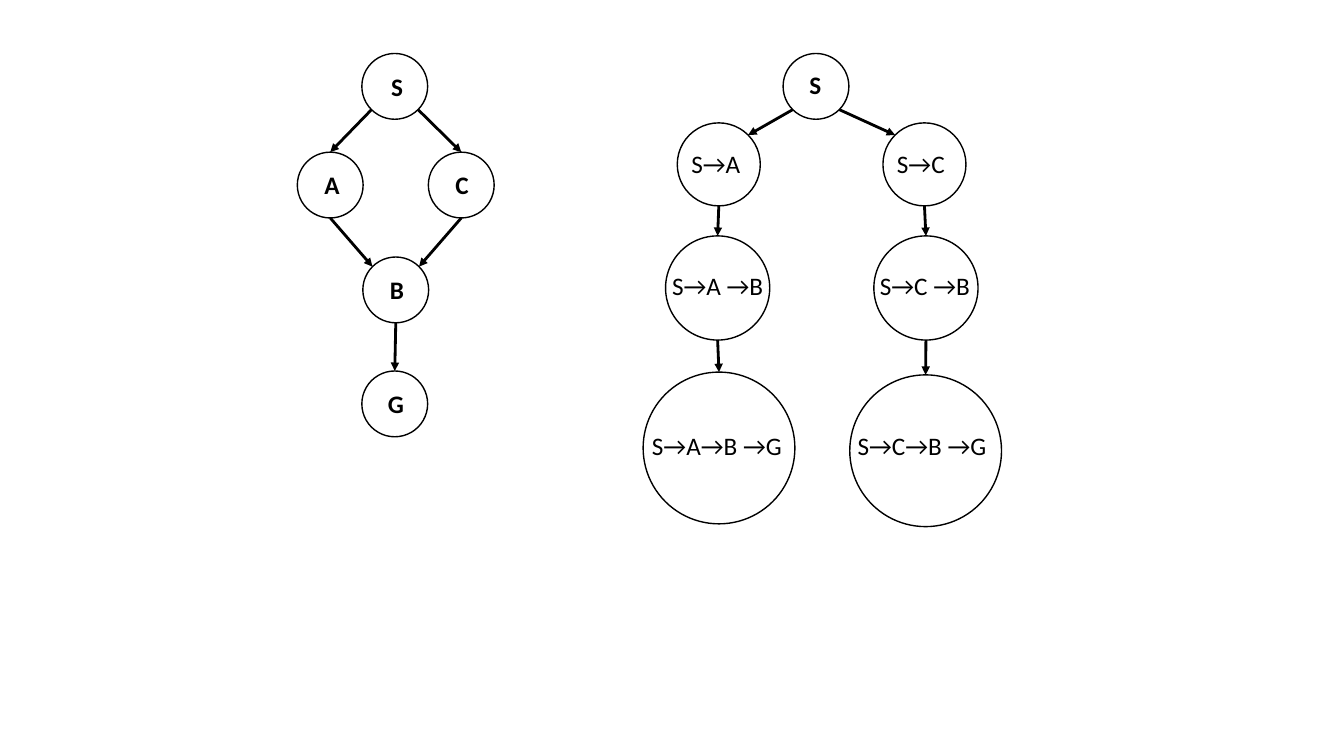
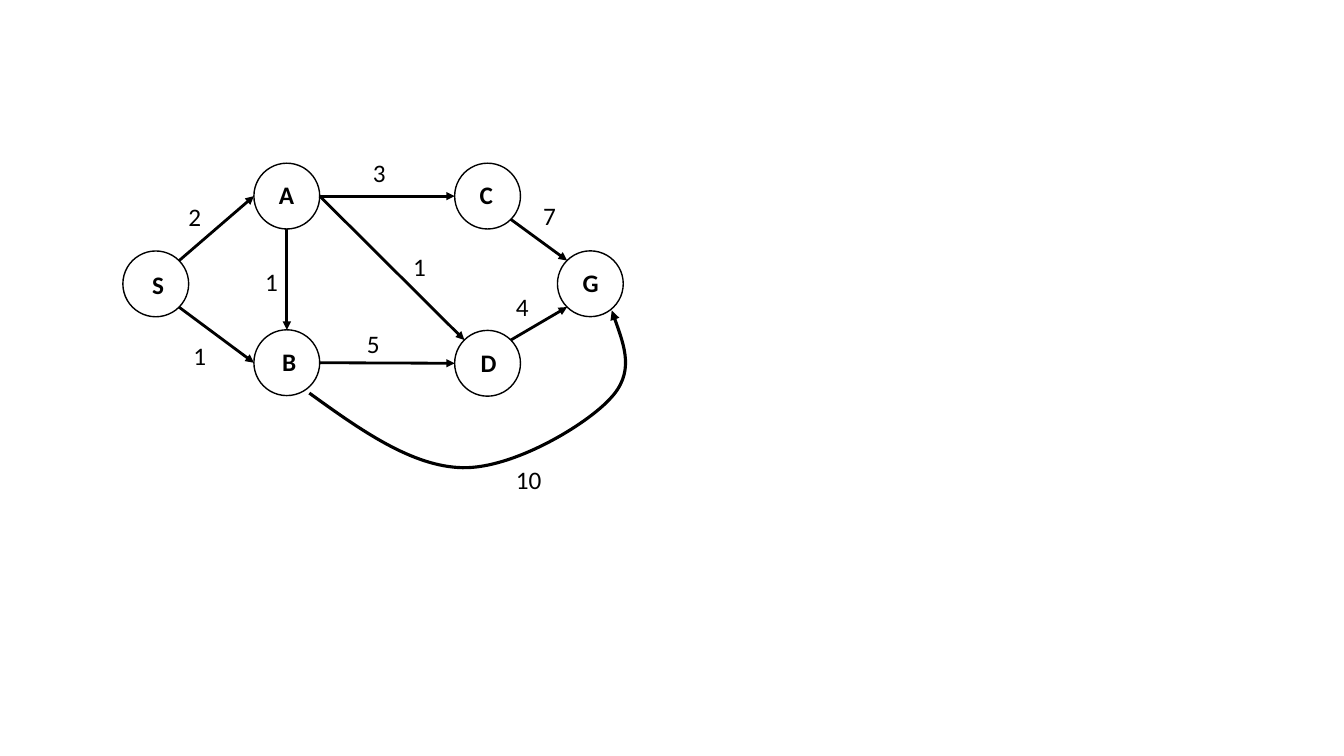
from dataclasses import dataclass
from math import sqrt

from pptx import Presentation
from pptx.dml.color import RGBColor
from pptx.enum.shapes import MSO_CONNECTOR, MSO_SHAPE
from pptx.enum.text import MSO_AUTO_SIZE
from pptx.oxml.ns import qn
from pptx.oxml.xmlchemy import OxmlElement
from pptx.util import Pt

STRAIGHT = MSO_CONNECTOR.STRAIGHT
CIRCLE = MSO_SHAPE.OVAL
GROW = MSO_AUTO_SIZE.SHAPE_TO_FIT_TEXT


@dataclass(frozen=True)
class Theme:
    ink: RGBColor = RGBColor(0, 0, 0)
    font: str = "Calibri"
    text_size: float = 18
    label_height: float = 29
    outline: float = 1
    arrow: float = 2
    curve: float = 2.25


THEME = Theme()
STATE, STEP, PAIR, ROUTE = 47, 59.3, 74.4, 108.4
LABEL_WIDTHS = {"S": 23, "A": 25, "B": 25, "C": 24.5, "D": 26, "G": 26,
                "S→A": 49.7, "S→C": 49, "S→A →B": 84.2, "S→C →B": 84.2,
                "S→A→B →G": 109.4, "S→C→B →G": 109.4, "10": 33}
DIGIT_WIDTH = 24
WRAPPED_SIZES = (PAIR, ROUTE)

# key: text, left, top, diameter, label offset
STATE_GRAPH = {
    "S": ("S", 258.5, 38.2, STATE, (13.7, 9.3)),
    "A": ("A", 212.4, 108.7, STATE, (12.2, 8.7)),
    "C": ("C", 306, 108.7, STATE, (12.2, 8.7)),
    "B": ("B", 259.2, 183.6, STATE, (12.2, 8.7)),
    "G": ("G", 258.5, 265, STATE, (11.5, 8.7)),
}
STATE_EDGES = [
    ("S", "bottom left", "A", "top"),
    ("S", "bottom right", "C", "top"),
    ("A", "bottom", "B", "top left"),
    ("C", "bottom", "B", "top right"),
    ("B", "bottom", "G", "top"),
]
SEARCH_TREE = {
    "S": ("S", 559.4, 38.2, STATE, (11.6, 7.9)),
    "SC": ("S→C", 630.7, 87.8, STEP, (2.9, 14.4)),
    "SA": ("S→A", 483.8, 87.8, STEP, (2.9, 14.4)),
    "SAB": ("S→A →B", 475.4, 168.5, PAIR, (-2.4, 20.9)),
    "SCB": ("S→C →B", 624.2, 168.5, PAIR, (-2.8, 20.9)),
    "SCBG": ("S→C→B →G", 607, 267.8, ROUTE, (-1.5, 36)),
    "SABG": ("S→A→B →G", 459.4, 265.8, ROUTE, (-0.8, 38)),
}
TREE_EDGES = [
    ("S", "bottom left", "SA", "top right"),
    ("S", "bottom right", "SC", "top left"),
    ("SA", "bottom", "SAB", "top"),
    ("SAB", "bottom", "SABG", "top"),
    ("SC", "bottom", "SCB", "top"),
    ("SCB", "bottom", "SCBG", "top"),
]
COST_GRAPH = {
    "S": ("S", 87.8, 179.3, STATE, (13.7, 9.3)),
    "A": ("A", 181.4, 116.6, STATE, (10.8, 8)),
    "B": ("B", 181.4, 235.6, STATE, (13, 7.9)),
    "C": ("C", 324.8, 116.6, STATE, (10.8, 8)),
    "D": ("D", 324.8, 236, STATE, (11.5, 8.7)),
    "G": ("G", 398.2, 179.2, STATE, (10.8, 8)),
}
COST_EDGES = [
    ("S", "top right", "A", "left"),
    ("S", "bottom right", "B", "left"),
    ("A", "bottom", "B", "top"),
    ("A", "right", "C", "left"),
    ("A", "right", "D", "top left"),
    ("B", "right", "D", "left"),
    ("D", "top right", "G", "bottom left"),
    ("C", "bottom right", "G", "top left"),
]
COSTS = [
    ("2", 127.4, 140.4), ("1", 131, 239.8), ("1", 182.2, 186.5),
    ("5", 254.9, 231.1), ("3", 259.2, 108.7), ("1", 288, 175.7),
    ("7", 380.9, 139.7), ("4", 361.4, 204.5), ("10", 361.4, 328.3),
]
DETOUR = [
    (221, 280.8), (257.8, 307.4), (294.5, 333.4), (330.5, 334.1),
    (366.5, 334.8), (418.3, 303.8), (435.6, 285.1),
    (453.6, 266.4), (445, 244.1), (437, 221.8),
]
SLIDES = [
    ([(STATE_GRAPH, STATE_EDGES), (SEARCH_TREE, TREE_EDGES)], [], []),
    ([(COST_GRAPH, COST_EDGES)], COSTS, [DETOUR]),
]
DIRECTIONS = {"left": (-1, 0), "right": (1, 0), "top": (0, -1), "bottom": (0, 1)}


def site(node, side):
    _, left, top, diameter, _ = node
    words = side.split()
    reach = diameter / 2 / sqrt(len(words))
    dx, dy = (sum(step) for step in zip(*(DIRECTIONS[word] for word in words)))
    return left + diameter / 2 + dx * reach, top + diameter / 2 + dy * reach


def ink_line(line, width):
    line.color.rgb = THEME.ink
    line.width = Pt(width)


def add_arrowhead(line_owner):
    head = OxmlElement("a:tailEnd")
    head.set("type", "triangle")
    line_owner.line._get_or_add_ln().append(head)


def add_label(slide, text, left, top, bold=False, wrap=False):
    width = LABEL_WIDTHS.get(text, DIGIT_WIDTH)
    label = slide.shapes.add_textbox(Pt(left), Pt(top), Pt(width), Pt(THEME.label_height))
    frame = label.text_frame
    frame.word_wrap = wrap
    frame.auto_size = GROW
    frame.text = text
    font = frame.paragraphs[0].runs[0].font
    font.name, font.size, font.bold = THEME.font, Pt(THEME.text_size), bold
    font.color.rgb = THEME.ink


def add_node(slide, node):
    text, left, top, diameter, (dx, dy) = node
    circle = slide.shapes.add_shape(CIRCLE, Pt(left), Pt(top), Pt(diameter), Pt(diameter))
    circle.shadow.inherit = False
    circle.fill.background()
    ink_line(circle.line, THEME.outline)
    add_label(slide, text, left + dx, top + dy,
              bold=diameter == STATE, wrap=diameter in WRAPPED_SIZES)


def add_edge(slide, start, end):
    edge = slide.shapes.add_connector(STRAIGHT, *(Pt(value) for value in start + end))
    ink_line(edge.line, THEME.arrow)
    add_arrowhead(edge)
    edge._element.spPr.append(OxmlElement("a:effectLst"))


def add_curve(slide, points):
    start, *rest = [(Pt(x), Pt(y)) for x, y in points]
    builder = slide.shapes.build_freeform(*start)
    builder.add_line_segments(rest, close=False)
    curve = builder.convert_to_shape()
    segments = list(curve._element.iter(qn("a:lnTo")))
    for first in range(0, len(segments), 3):
        bezier = OxmlElement("a:cubicBezTo")
        segments[first].addprevious(bezier)
        for segment in segments[first:first + 3]:
            bezier.append(segment[0])
            segment.getparent().remove(segment)
    curve.shadow.inherit = False
    curve.fill.background()
    ink_line(curve.line, THEME.curve)
    add_arrowhead(curve)


deck = Presentation()
deck.slide_width, deck.slide_height = Pt(960), Pt(540)
blank = deck.slide_layouts[6]
for graphs, costs, curves in SLIDES:
    slide = deck.slides.add_slide(blank)
    for nodes, edges in graphs:
        for node in nodes.values():
            add_node(slide, node)
        for source, exit_side, target, entry_side in edges:
            add_edge(slide, site(nodes[source], exit_side), site(nodes[target], entry_side))
    for points in curves:
        add_curve(slide, points)
    for cost, left, top in costs:
        add_label(slide, cost, left, top)
deck.save("out.pptx")
